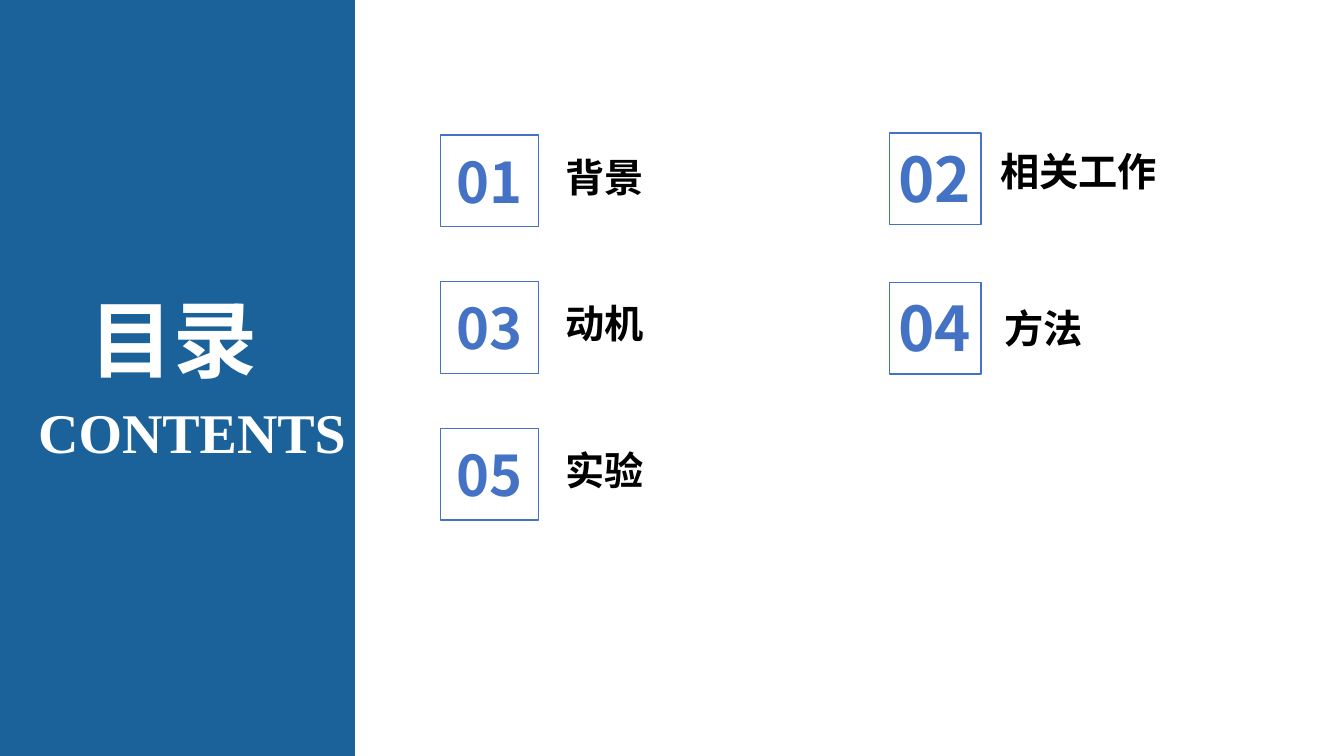
import pptx
import pptx.util
import pptx.dml.color
import pptx.enum.shapes
import pptx.enum.text
import lxml.etree
from pptx.oxml.ns import qn

Inches = pptx.util.Inches
Align = pptx.enum.text.PP_ALIGN


def color(code):
    return pptx.dml.color.RGBColor.from_string(code)


class Deck:
    sans = "Noto Sans CJK SC"
    serif = "Times New Roman"
    latin = "Arial"
    panel = "1A6299"
    accent = "4472C4"
    white = "FFFFFF"
    black = "000000"

    def __init__(self):
        self.show = pptx.Presentation()
        self.show.slide_width = Inches(13.33)
        self.show.slide_height = Inches(7.5)
        self.slide = self.show.slides.add_slide(self.show.slide_layouts[6])

    def rect(self, area, box, fill=None, line=None):
        shape = area.add_shape(pptx.enum.shapes.MSO_SHAPE.RECTANGLE, *map(Inches, box))
        shape.shadow.inherit = False
        if fill:
            shape.fill.solid()
            shape.fill.fore_color.rgb = color(fill)
        else:
            shape.fill.background()
        if line:
            shape.line.color.rgb = color(line)
            shape.line.width = pptx.util.Pt(1)
        else:
            shape.line.fill.background()

    def text(self, area, box, words, size, tint, face, align=Align.LEFT):
        frame = area.add_textbox(*map(Inches, box)).text_frame
        frame.word_wrap = True
        frame.auto_size = pptx.enum.text.MSO_AUTO_SIZE.SHAPE_TO_FIT_TEXT
        para = frame.paragraphs[0]
        para.alignment = align
        run = para.add_run()
        run.text = words
        style = {"size": pptx.util.Pt(size), "bold": True, "name": face}
        for key, value in style.items():
            setattr(run.font, key, value)
        run.font.color.rgb = color(tint)
        east = lxml.etree.SubElement(run._r.get_or_add_rPr(), qn("a:ea"))
        east.set("typeface", self.sans)

    def entry(self, number, words, column, top, label):
        left, width, num_left, num_width, num_top, num_high, size, face = column
        area = self.slide.shapes.add_group_shape().shapes
        self.text(area, (*label, 0.57), words, 28, self.black, face)
        self.text(area, (num_left, top + num_top, num_width, num_high),
                  f"{number:02d}", size, self.accent, self.sans, Align.CENTER)
        self.rect(area, (left, top, width, 0.91), line=self.accent)


def main():
    deck = Deck()
    shapes = deck.slide.shapes
    deck.rect(shapes, (0, 0, 3.52, 7.5), fill=deck.panel)
    deck.text(shapes, (0.3, 2.8, 2.54, 1.11), "目录 ", 60, deck.white, deck.sans, Align.RIGHT)
    deck.text(shapes, (0, 3.89, 3.53, 0.77), "CONTENTS", 40, deck.white, deck.serif, Align.RIGHT)

    first = (4.37, 0.97, 4.37, 0.97, 0.07, 0.77, 40, deck.sans)
    second = (8.82, 0.91, 8.78, 0.98, 0.03, 0.84, 44, deck.latin)
    for row, words in enumerate(("背景", "动机", "实验")):
        top = 1.34 + 1.455 * row
        deck.entry(2 * row + 1, words, first, top, (5.51, top + 0.13, 2.79))
    deck.entry(2, "相关工作", second, 1.32, (9.82, 1.41, 3.21))
    deck.entry(4, "方法", second, 2.8, (9.86, 2.97, 2.62))
    deck.show.save("out.pptx")


if __name__ == "__main__":
    main()
